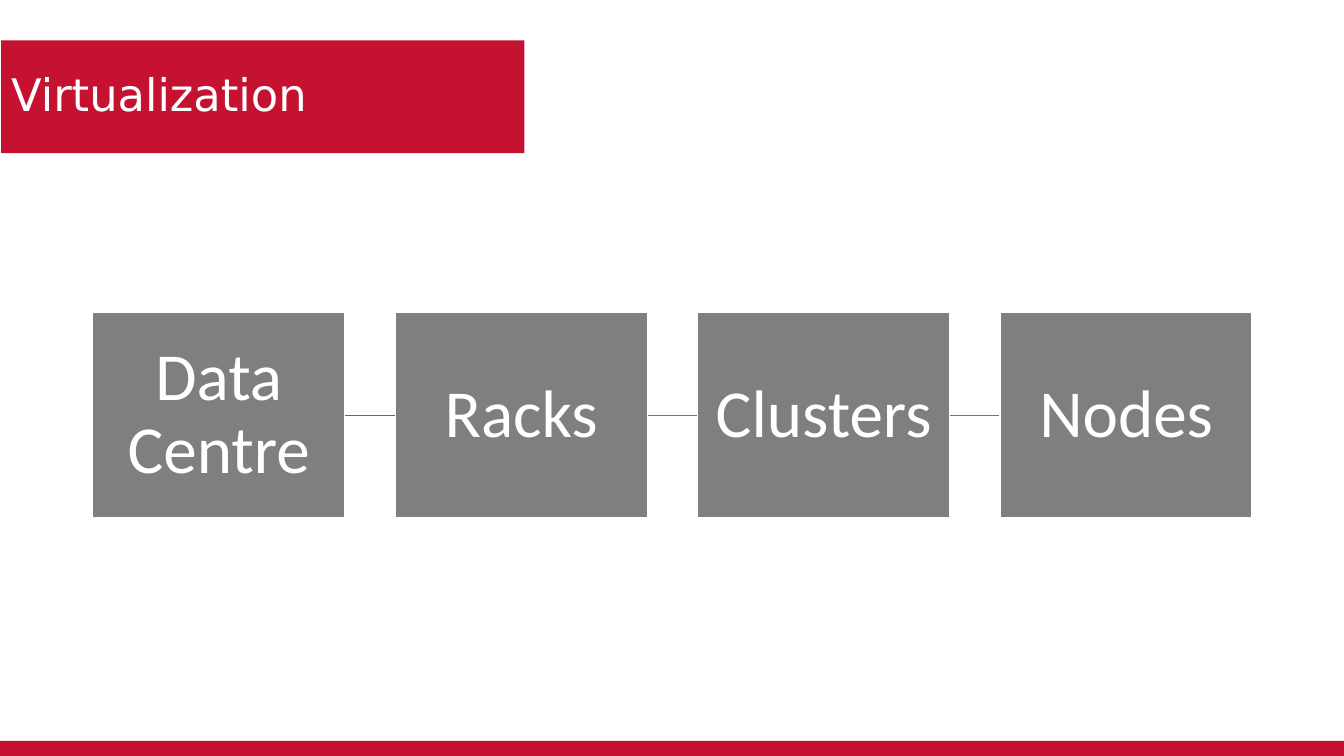
from dataclasses import dataclass

from lxml import etree
from pptx import Presentation
from pptx import util as u
from pptx.dml.color import RGBColor
from pptx.enum import shapes, text
from pptx.oxml.ns import qn


@dataclass(frozen=True)
class Theme:
    """Colours, fonts and sizes of the deck."""

    red: RGBColor = RGBColor(0xC4, 0x12, 0x30)
    grey: RGBColor = RGBColor(0x7F, 0x7F, 0x7F)
    link: RGBColor = RGBColor(0x73, 0x73, 0x73)
    first_link: RGBColor = RGBColor(0x66, 0x66, 0x66)
    white: RGBColor = RGBColor(0xFF, 0xFF, 0xFF)
    title_font: str = "DejaVu Sans"
    body_font: str = "Calibri"
    title_size: int = 32
    body_size: int = 48
    line_width: int = 1


class SlideBuilder:
    """Places styled elements on one slide."""

    COLUMN, ROW = 0.5, 1.02
    LEFT, TOP = 0.92, 3.1

    def __init__(self, presentation, theme):
        """Add a title-only slide."""
        self.theme = theme
        self.width = presentation.slide_width
        self.height = presentation.slide_height
        self.slide = presentation.slides.add_slide(presentation.slide_layouts[5])

    def share(self, left, top, width, height):
        """Turn percentages of the slide into lengths."""
        sides = (self.width, self.height) * 2
        return [round(side * part / 100) for side, part in zip(sides, (left, top, width, height))]

    def point(self, column, row):
        """Turn a grid position into slide coordinates."""
        return u.Inches(self.LEFT + column * self.COLUMN), u.Inches(self.TOP + row * self.ROW)

    def label(self, shape, wording, frame_format, paragraph_format, font_format, colour):
        """Fill a shape with one formatted paragraph."""
        frame = shape.text_frame
        frame.text = wording
        paragraph = frame.paragraphs[0]
        font = paragraph.runs[0].font
        common = {"word_wrap": True, "vertical_anchor": text.MSO_ANCHOR.MIDDLE,
                  "auto_size": text.MSO_AUTO_SIZE.NONE}
        for target, values in ((frame, common | frame_format),
                               (paragraph, {"line_spacing": 0.9} | paragraph_format),
                               (font, font_format)):
            for name, value in values.items():
                setattr(target, name, value)
        font.color.rgb = colour

    def title(self, wording, area):
        """Move and format the title placeholder."""
        shape = self.slide.shapes.title
        shape.left, shape.top, shape.width, shape.height = self.share(*area)
        shape.fill.solid()
        shape.fill.fore_color.rgb = self.theme.red
        self.label(shape, wording, {}, {"alignment": text.PP_ALIGN.LEFT},
                   {"name": self.theme.title_font, "size": u.Pt(self.theme.title_size)},
                   self.theme.white)

    def rectangle(self, left, top, width, height, fill):
        """Add a plain filled rectangle."""
        shape = self.slide.shapes.add_shape(shapes.MSO_SHAPE.RECTANGLE, left, top, width, height)
        shape.shadow.inherit = False
        shape.fill.solid()
        shape.fill.fore_color.rgb = fill
        shape.line.fill.background()
        return shape

    def box(self, wording, column, columns, rows):
        """Add a labelled box on the grid."""
        size = u.Inches(columns * self.COLUMN), u.Inches(rows * self.ROW)
        shape = self.rectangle(*self.point(column, 0), *size, self.theme.grey)
        shape.line.color.rgb = self.theme.white
        shape.line.width = u.Pt(self.theme.line_width)
        margins = {f"margin_{side}": u.Inches(0.03) for side in ("left", "top", "right", "bottom")}
        self.label(shape, wording, margins, {"alignment": text.PP_ALIGN.CENTER},
                   {"name": self.theme.body_font, "size": u.Pt(self.theme.body_size)},
                   self.theme.white)
        return shape

    def link(self, start, end, row, colour):
        """Add a horizontal line between two columns."""
        connector = self.slide.shapes.add_connector(
            shapes.MSO_CONNECTOR.STRAIGHT, *self.point(start, row), *self.point(end, row))
        connector.line.color.rgb = colour
        connector.line.width = u.Pt(self.theme.line_width)
        etree.SubElement(connector._element.spPr, qn("a:effectLst"))
        return connector

    def chain(self, labels, columns=5, gap=1, rows=2):
        """Lay out equal boxes joined by lines behind them."""
        step = columns + gap
        links = [self.link(index * step + columns, (index + 1) * step, rows / 2,
                           self.theme.link if index else self.theme.first_link)
                 for index in range(len(labels) - 1)]
        boxes = [self.box(wording, index * step, columns, rows)
                 for index, wording in enumerate(labels)]
        for connector, before, after in zip(links, boxes, boxes[1:]):
            connector.begin_connect(before, 3)
            connector.end_connect(after, 1)


def main():
    """Build and save the slide."""
    presentation = Presentation()
    presentation.slide_width = u.Inches(13.33)
    presentation.slide_height = u.Inches(7.5)
    theme = Theme()
    builder = SlideBuilder(presentation, theme)
    builder.rectangle(*builder.share(0, 98, 100, 2), theme.red)
    builder.title("Virtualization", (0.08, 5.33, 38.93, 14.93))
    builder.chain(["Data Centre", "Racks", "Clusters", "Nodes"])
    presentation.save("out.pptx")


if __name__ == "__main__":
    main()
